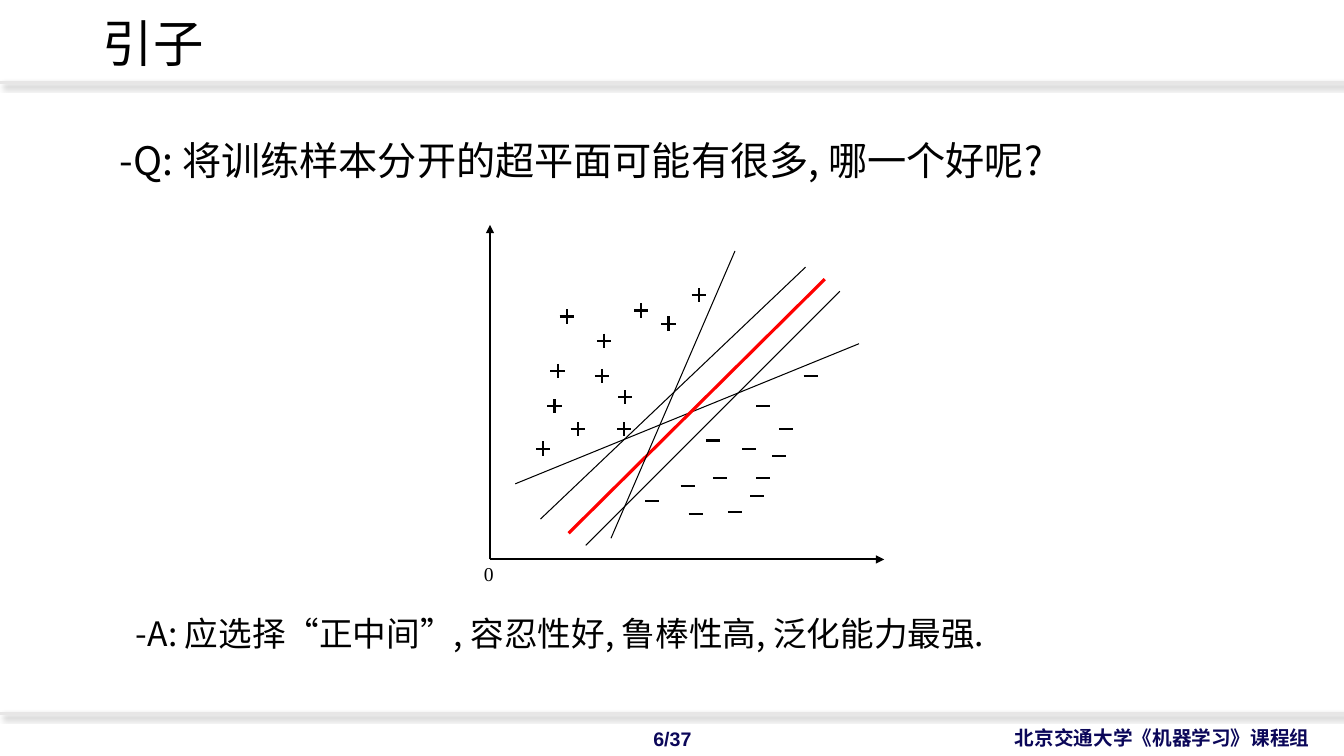
from lxml import etree
from pptx import Presentation, util as u
from pptx.dml.color import RGBColor
from pptx.enum import shapes, text
from pptx.oxml import ns

BLACK = RGBColor(0x00, 0x00, 0x00)
RED = RGBColor(0xFF, 0x00, 0x00)
RULE_GREY = RGBColor(0xE7, 0xE6, 0xE6)
NAVY = RGBColor(0x0B, 0x07, 0x59)
HANZI_FONT = "Noto Sans CJK SC"
WIDTH, HEIGHT = 13.33, 7.5

deck = Presentation()
deck.slide_width, deck.slide_height = u.Inches(WIDTH), u.Inches(HEIGHT)
page = deck.slides.add_slide(deck.slide_layouts[5])


def add_line(holder, start, end, color=BLACK, width=1.5):
    """Draw a shadowless straight line and return it with its empty effect list."""
    ends = [u.Inches(value) for value in (*start, *end)]
    line = holder.add_connector(shapes.MSO_CONNECTOR.STRAIGHT, *ends)
    line.line.color.rgb = color
    line.line.width = u.Pt(width)
    effects = etree.SubElement(line._element.spPr, ns.qn("a:effectLst"))
    return line, effects


def write(box, place, words, font, align=text.PP_ALIGN.LEFT,
          anchor=text.MSO_ANCHOR.TOP, spacing=1.0, wrap=True):
    """Place a box and fill it with one formatted paragraph."""
    for name, value in zip(("left", "top", "width", "height"), place):
        setattr(box, name, u.Inches(value))
    frame = box.text_frame
    frame.auto_size = text.MSO_AUTO_SIZE.NONE
    frame.word_wrap = wrap
    frame.vertical_anchor = anchor
    para = frame.paragraphs[0]
    para.alignment, para.line_spacing = align, spacing
    span = para.add_run()
    span.text = words
    for name, value in font.items():
        if name == "color":
            span.font.color.rgb = value
        else:
            setattr(span.font, name, value)
    east_asian = etree.SubElement(span.font._element, ns.qn("a:ea"))
    east_asian.set("typeface", HANZI_FONT)


def_box = (0, 0, u.Inches(1), u.Inches(1))
middle = text.MSO_ANCHOR.MIDDLE

# Footer and the two shaded rules
footer_font = {"name": "Arial", "size": u.Pt(14), "bold": True, "color": NAVY}
for place, words, align in [
    ((8.88, 7.15, 4.21, 0.34), "北京交通大学《机器学习》课程组", text.PP_ALIGN.RIGHT),
    ((6.05, 7.16, 1.24, 0.34), "6/37", text.PP_ALIGN.CENTER),
]:
    write(page.shapes.add_textbox(*def_box), place, words, footer_font, align, middle)

for y in (0.82, 7.08):
    rule, effects = add_line(page.shapes, (0, y), (WIDTH, y), RULE_GREY, 2)
    shadow = etree.SubElement(
        effects, ns.qn("a:outerShdw"), blurRad=str(u.Pt(4)), dist=str(u.Pt(3)),
        dir=str(45 * 60000), algn="tl", rotWithShape="0")
    shade = etree.SubElement(shadow, ns.qn("a:srgbClr"), val=str(BLACK))
    etree.SubElement(shade, ns.qn("a:alpha"), val="40000")

# Title, question and answer
hanzi = {"name": HANZI_FONT, "color": BLACK}
write(page.shapes.title, (0.92, -0.27, 11.5, 1.45), "引子",
      {**hanzi, "size": u.Pt(36)}, anchor=middle, spacing=0.9)
write(page.shapes.add_textbox(*def_box), (1.09, 1.39, 9.42, 0.49),
      "-Q: 将训练样本分开的超平面可能有很多, 哪一个好呢?",
      {**hanzi, "size": u.Pt(28)}, spacing=0.8)
write(page.shapes.add_textbox(*def_box), (1.25, 6.08, 9.42, 0.57),
      "-A: 应选择“正中间”, 容忍性好, 鲁棒性高, 泛化能力最强.",
      {**hanzi, "size": u.Pt(24)}, spacing=0.9)

# Axes
ORIGIN = (4.86, 5.55)
for tip in ((4.86, 2.23), (8.77, 5.55)):
    axis, _ = add_line(page.shapes, ORIGIN, tip)
    etree.SubElement(axis.line._get_or_add_ln(), ns.qn("a:tailEnd"), type="triangle")
write(page.shapes.add_textbox(*def_box), (4.7, 5.53, 0.3, 0.34), "0",
      {"name": "Times New Roman", "size": u.Pt(14), "color": BLACK}, wrap=False)

# Samples, given by their centres
ARM = 0.07
positives = [
    (6.36, 3.08), (6.2, 3.94), (5.97, 3.73), (5.5, 4.03), (5.73, 4.26), (6.19, 4.26),
    (5.62, 3.14), (6.93, 2.93), (6.63, 3.21), (5.39, 4.45), (5.99, 3.38), (5.53, 3.68),
]
negatives = [
    (7.73, 4.52), (7.07, 4.37), (6.9, 5.1), (6.47, 4.97), (7.51, 4.92), (7.57, 4.74),
    (6.82, 4.82), (7.8, 4.26), (7.14, 4.74), (7.29, 5.08), (7.43, 4.45), (7.57, 4.03),
    (8.04, 3.73),
]
for x, y in positives:
    plus = page.shapes.add_group_shape().shapes
    add_line(plus, (x - ARM, y), (x + ARM, y))
    add_line(plus, (x, y - ARM), (x, y + ARM))
for x, y in negatives:
    add_line(page.shapes, (x - ARM, y), (x + ARM, y))

# Candidate hyperplanes, the best one in red
for start, end, color, width in [
    ((8.52, 3.41), (5.11, 4.8), BLACK, 0.75),
    ((5.64, 5.29), (8.18, 2.77), RED, 2.25),
    ((7.29, 2.49), (6.06, 5.34), BLACK, 0.75),
    ((8.33, 2.89), (5.81, 5.41), BLACK, 0.75),
    ((7.99, 2.65), (5.36, 5.15), BLACK, 0.75),
]:
    add_line(page.shapes, start, end, color, width)

deck.save("out.pptx")
